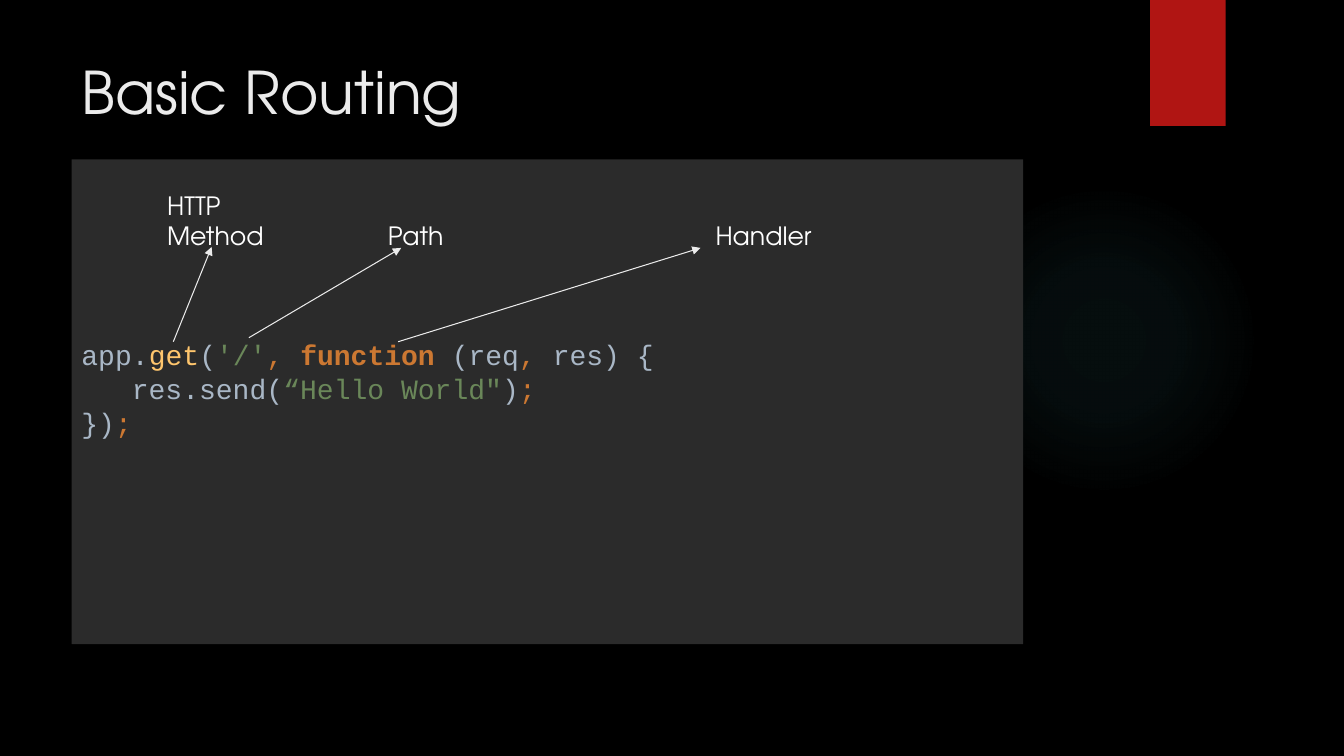
from lxml import etree
from pptx import Presentation
from pptx.dml.color import RGBColor
from pptx.enum import shapes, text
from pptx.oxml import parse_xml
from pptx.oxml.ns import nsdecls, qn
from pptx.util import Pt

BLACK = RGBColor(0x00, 0x00, 0x00)
WHITE = RGBColor(0xFF, 0xFF, 0xFF)
LIGHT = RGBColor(0xEB, 0xEB, 0xEB)
RED = RGBColor(0xB0, 0x15, 0x13)
PANEL = RGBColor(0x2B, 0x2B, 0x2B)
GLOW = RGBColor(0x50, 0xB9, 0xC1)
PLAIN = RGBColor(0xA9, 0xB7, 0xC6)
METHOD = RGBColor(0xFF, 0xC6, 0x6D)
STRING = RGBColor(0x6A, 0x87, 0x59)
KEYWORD = RGBColor(0xCC, 0x78, 0x32)

HEADING_FONT = "TeX Gyre Adventor"
CODE_FONT = "Courier New"

# Content: boxes are left, top, width, height
TITLE = ("Basic Routing", (51.1, 36, 740.9, 110.2), 42, LIGHT)
LABELS = [
    ("HTTP Method", (112.3, 132.5, 113, 72.7), 18, WHITE),
    ("Path", (270, 154.1, 116.6, 29.1), 18, WHITE),
    ("Handler", (504, 154.1, 169.2, 29.1), 18, WHITE),
]
CODE = [
    [("app.", PLAIN), ("get", METHOD), ("(", PLAIN), ("'/'", STRING),
     (", ", KEYWORD), ("function ", KEYWORD), ("(req", PLAIN),
     (", ", KEYWORD), ("res) {", PLAIN)],
    [("\tres.send(", PLAIN), ("“Hello World\"", STRING), (")", PLAIN),
     (";", KEYWORD)],
    [("})", PLAIN), (";", KEYWORD)],
]
ARROWS = [  # from x, from y, to x, to y
    (123.8, 244.1, 151.2, 176.4),
    (177.8, 241.2, 286.6, 177.1),
    (284.4, 244.1, 500.4, 177.1),
]
GLOW_STOPS = [(0, 7), (36, 6), (69, 0)]  # position and opacity, percent
GLOW_BOX = (677.5, 131.8, 221.8, 221.8)
TAB_BOX = (821.5, 0, 54, 90)
PANEL_BOX = (51.1, 113.8, 679.7, 346.3)
CODE_TOP = 241
CODE_PITCH = 24.3

presentation = Presentation()
presentation.slide_width = Pt(960)
presentation.slide_height = Pt(540)
slide = presentation.slides.add_slide(presentation.slide_layouts[6])
slide.background.fill.solid()
slide.background.fill.fore_color.rgb = BLACK


def add_block(kind, box, color):
    shape = slide.shapes.add_shape(kind, *map(Pt, box))
    shape.shadow.inherit = False
    shape.fill.solid()
    shape.fill.fore_color.rgb = color
    shape.line.fill.background()
    return shape


def add_text(words, box, size, color):
    frame = slide.shapes.add_textbox(*map(Pt, box)).text_frame
    frame.word_wrap = True
    paragraph = frame.paragraphs[0]
    paragraph.text = words
    paragraph.font.name = HEADING_FONT
    paragraph.font.size = Pt(size)
    paragraph.font.color.rgb = color


# Backdrop: soft glow and red tab
glow = add_block(shapes.MSO_SHAPE.OVAL, GLOW_BOX, GLOW)
stops = "".join(
    f'<a:gs pos="{position * 1000}"><a:srgbClr val="{GLOW}">'
    f'<a:alpha val="{opacity * 1000}"/></a:srgbClr></a:gs>'
    for position, opacity in GLOW_STOPS)
gradient = parse_xml(
    f'<a:gradFill {nsdecls("a")} rotWithShape="1"><a:gsLst>{stops}</a:gsLst>'
    '<a:path path="circle"><a:fillToRect l="50000" t="50000" r="50000" b="50000"/>'
    '</a:path></a:gradFill>')
properties = glow._element.spPr
properties.replace(properties.find(qn("a:solidFill")), gradient)
add_block(shapes.MSO_SHAPE.RECTANGLE, TAB_BOX, RED)

add_text(*TITLE)

# Code panel
panel = add_block(shapes.MSO_SHAPE.RECTANGLE, PANEL_BOX, PANEL)
frame = panel.text_frame
frame.word_wrap = True
frame.vertical_anchor = text.MSO_ANCHOR.TOP
frame.margin_top = Pt(CODE_TOP - PANEL_BOX[1])
for index, line in enumerate(CODE):
    paragraph = frame.add_paragraph() if index else frame.paragraphs[0]
    paragraph.alignment = text.PP_ALIGN.LEFT
    paragraph.line_spacing = Pt(CODE_PITCH)
    paragraph.font.name = CODE_FONT
    paragraph.font.size = Pt(20)
    for words, color in line:
        run = paragraph.add_run()
        run.text = words
        run.font.color.rgb = color
        if words == "function ":
            run.font.bold = True

# Arrows from the code to the labels
for ends in ARROWS:
    arrow = slide.shapes.add_connector(
        shapes.MSO_CONNECTOR.STRAIGHT, *map(Pt, ends))
    arrow.line.color.rgb = LIGHT
    arrow.line.width = Pt(0.75)
    etree.SubElement(arrow.line._get_or_add_ln(), qn("a:tailEnd"), type="triangle")
    etree.SubElement(arrow._element.spPr, qn("a:effectLst"))

for label in LABELS:
    add_text(*label)

presentation.save("out.pptx")
